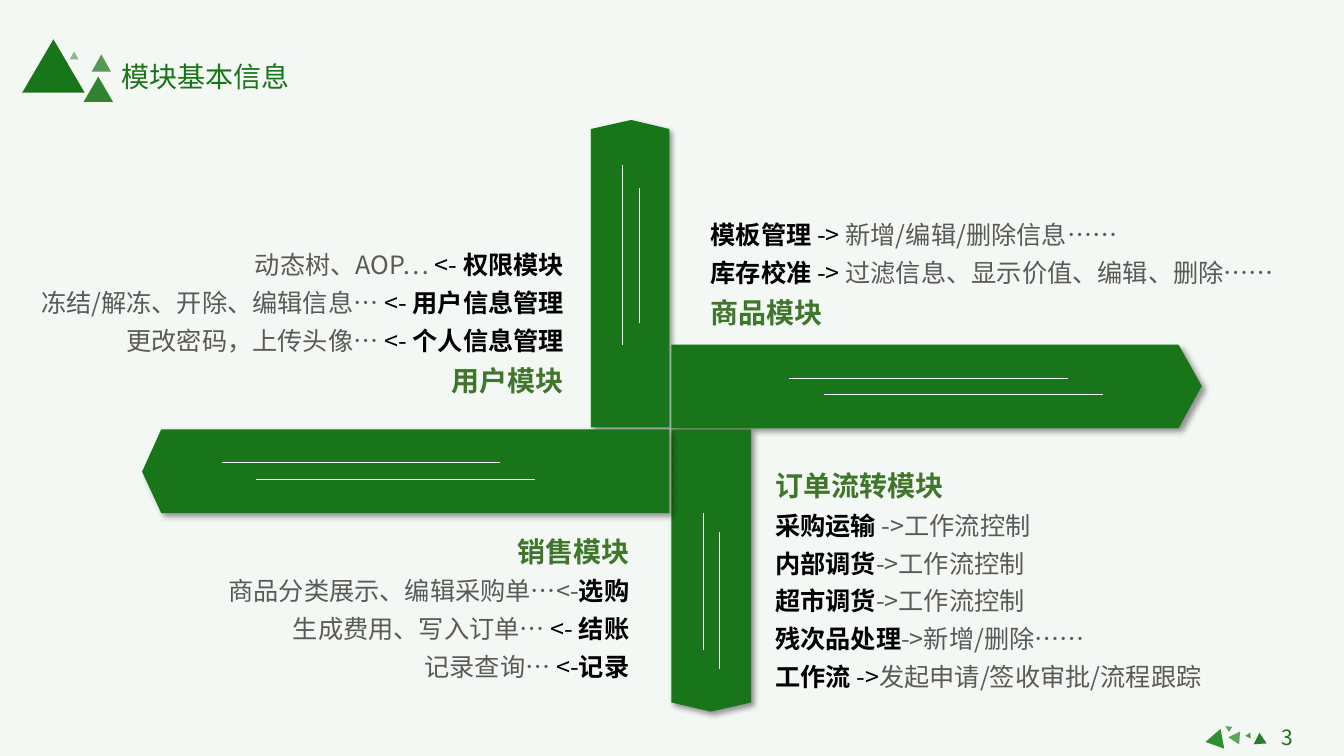
from dataclasses import dataclass

from lxml import etree
from pptx import Presentation
from pptx.dml.color import RGBColor
from pptx.enum.shapes import MSO_CONNECTOR, MSO_SHAPE
from pptx.enum.text import MSO_AUTO_SIZE, PP_ALIGN as Align
from pptx.oxml.ns import qn
from pptx.util import Emu, Pt

PX = 9144  # 100 px to the inch
FONT = "Noto Sans CJK SC"
GREEN = "197519"
WHITE = "FFFFFF"


@dataclass(frozen=True)
class Style:
    size: int
    color: str
    bold: bool = False


HEADING = Style(20, "3F762B", True)
NAME = Style(18, "000000", True)
ARROW = Style(18, "000000")
DETAIL = Style(18, "595959")
TITLE = Style(20, GREEN)
NUMBER = Style(15, GREEN)

Span = tuple[str, Style]
Point = tuple[int, int]


@dataclass(frozen=True)
class TextBlock:
    left: int
    top: int
    width: int
    height: int
    lines: list[list[Span]]
    align: Align = Align.LEFT
    spacing: float = 1.25
    wrap: bool = True


@dataclass(frozen=True)
class Triangle:
    left: int
    top: int
    width: int
    height: int
    color: str = GREEN
    rotation: float = 0
    opacity: int = 100
    flipped: bool = False


@dataclass(frozen=True)
class Signpost:
    outline: list[Point]
    stripes: list[tuple[Point, Point]]


TEXT_BLOCKS = [
    TextBlock(0, 235, 569, 162, [
        [("动态树、AOP… ", DETAIL), ("<- ", ARROW), ("权限模块", NAME)],
        [("冻结/解冻、开除、编辑信息… ", DETAIL), ("<- ", ARROW), ("用户信息管理", NAME)],
        [("更改密码，上传头像… ", DETAIL), ("<- ", ARROW), ("个人信息管理", NAME)],
        [("用户模块", HEADING)],
    ], Align.RIGHT),
    TextBlock(695, 205, 615, 124, [
        [("模板管理 ", NAME), ("-> ", ARROW), ("新增/编辑/删除信息……", DETAIL)],
        [("库存校准 ", NAME), ("-> ", ARROW), ("过滤信息、显示价值、编辑、删除……", DETAIL)],
        [("商品模块", HEADING)],
    ]),
    TextBlock(759, 452, 498, 242, [
        [("订单流转模块", HEADING)],
        [("采购运输 ", NAME), ("->工作流控制", DETAIL)],
        [("内部调货", NAME), ("->工作流控制", DETAIL)],
        [("超市调货", NAME), ("->工作流控制", DETAIL)],
        [("残次品处理", NAME), ("->新增/删除……", DETAIL)],
        [("工作流 ", NAME), ("->", ARROW), ("发起申请/签收审批/流程跟踪", DETAIL)],
    ]),
    TextBlock(40, 517, 594, 167, [
        [("销售模块", HEADING)],
        [("商品分类展示、编辑采购单…<-", DETAIL), ("选购", NAME)],
        [("生成费用、写入订单… ", DETAIL), ("<- ", ARROW), ("结账", NAME)],
        [("记录查询… ", DETAIL), ("<-", ARROW), ("记录", NAME)],
    ], Align.RIGHT),
    TextBlock(1243, 714, 68, 35, [[("3", NUMBER)]], Align.CENTER, 1),
    TextBlock(110, 54, 188, 44, [[("模块基本信息", TITLE)]], Align.CENTER, 1, False),
]

TRIANGLES = [
    Triangle(1220, 728, 13, 11, "5EA45A", 153.9),
    Triangle(1194, 726, 20, 17, "309030", 259.5),
    Triangle(1243, 727, 13, 11, "2B7E2A", 356.2),
    Triangle(1215, 719, 6, 6, "5EA45A", 303.5),
    Triangle(1236, 728, 6, 5, "559551", 145.8),
    Triangle(22, 39, 62, 53),
    Triangle(83, 76, 29, 25, opacity=89),
    Triangle(69, 51, 9, 8, opacity=47, flipped=True),
    Triangle(91, 54, 19, 17, opacity=72),
]

SIGNPOSTS = [
    Signpost([(664, 424), (586, 424), (586, 128), (626, 119), (664, 128)],
             [((634, 320), (634, 187)), ((617, 342), (617, 164))]),
    Signpost([(1169, 425), (666, 425), (666, 342), (1169, 342), (1192, 383)],
             [((817, 391), (1094, 391)), ((783, 375), (1059, 375))]),
    Signpost([(745, 697), (705, 706), (666, 697), (666, 426), (745, 426)],
             [((713, 664), (713, 528)), ((698, 645), (698, 509))]),
    Signpost([(664, 509), (160, 509), (141, 468), (160, 426), (664, 426)],
             [((254, 476), (531, 476)), ((220, 459), (496, 459))]),
]


def px(*lengths: int) -> list[Emu]:
    return [Emu(length * PX) for length in lengths]


def paint(fill, color: str) -> None:
    fill.solid()
    fill.fore_color.rgb = RGBColor.from_string(color)


def add_alpha(color_element, percent: int) -> None:
    etree.SubElement(color_element, qn("a:alpha"), val=str(percent * 1000))


def add_text(slide, block: TextBlock) -> None:
    box = slide.shapes.add_textbox(*px(block.left, block.top, block.width, block.height))
    frame = box.text_frame
    frame.word_wrap = block.wrap
    frame.auto_size = MSO_AUTO_SIZE.SHAPE_TO_FIT_TEXT
    for index, line in enumerate(block.lines):
        para = frame.add_paragraph() if index else frame.paragraphs[0]
        para.alignment = block.align
        para.line_spacing = block.spacing
        for text, style in line:
            span = para.add_run()
            span.text = text
            span.font.size = Pt(style.size)
            span.font.bold = style.bold
            span.font.name = FONT
            paint(span.font.fill, style.color)
            etree.SubElement(span.font._element, qn("a:ea"), typeface=FONT)


def add_triangle(slide, item: Triangle) -> None:
    shape = slide.shapes.add_shape(
        MSO_SHAPE.ISOSCELES_TRIANGLE, *px(item.left, item.top, item.width, item.height))
    shape.shadow.inherit = False
    shape.rotation = item.rotation
    shape.line.fill.background()
    paint(shape.fill, item.color)
    if item.opacity < 100:
        add_alpha(shape._element.spPr.find(".//" + qn("a:srgbClr")), item.opacity)
    if item.flipped:
        shape._element.spPr.xfrm.set("flipH", "1")


def cast_shadow(shape) -> None:
    shape.shadow.inherit = False
    effects = shape._element.spPr.find(qn("a:effectLst"))
    shadow = etree.SubElement(
        effects, qn("a:outerShdw"), blurRad=str(Pt(4)), dist=str(Pt(3)),
        dir=str(45 * 60000), algn="tl", rotWithShape="0")
    add_alpha(etree.SubElement(shadow, qn("a:srgbClr"), val="000000"), 40)


def add_signpost(slide, post: Signpost) -> None:
    group = slide.shapes.add_group_shape()
    builder = group.shapes.build_freeform(*post.outline[0], scale=PX)
    builder.add_line_segments(post.outline[1:], close=True)
    board = builder.convert_to_shape()
    paint(board.fill, GREEN)
    board.line.fill.background()
    cast_shadow(board)
    for start, end in post.stripes:
        stripe = group.shapes.add_connector(MSO_CONNECTOR.STRAIGHT, *px(*start, *end))
        paint(stripe.line.fill, WHITE)
        stripe.line.width = Pt(0.5)
        etree.SubElement(stripe._element.spPr, qn("a:effectLst"))


def main() -> None:
    deck = Presentation()
    deck.slide_width, deck.slide_height = px(1333, 750)
    page = deck.slides.add_slide(deck.slide_layouts[6])
    paint(page.background.fill, "F4F8F4")
    for block in TEXT_BLOCKS:
        add_text(page, block)
    for item in TRIANGLES:
        add_triangle(page, item)
    for post in SIGNPOSTS:
        add_signpost(page, post)
    deck.save("out.pptx")


if __name__ == "__main__":
    main()
